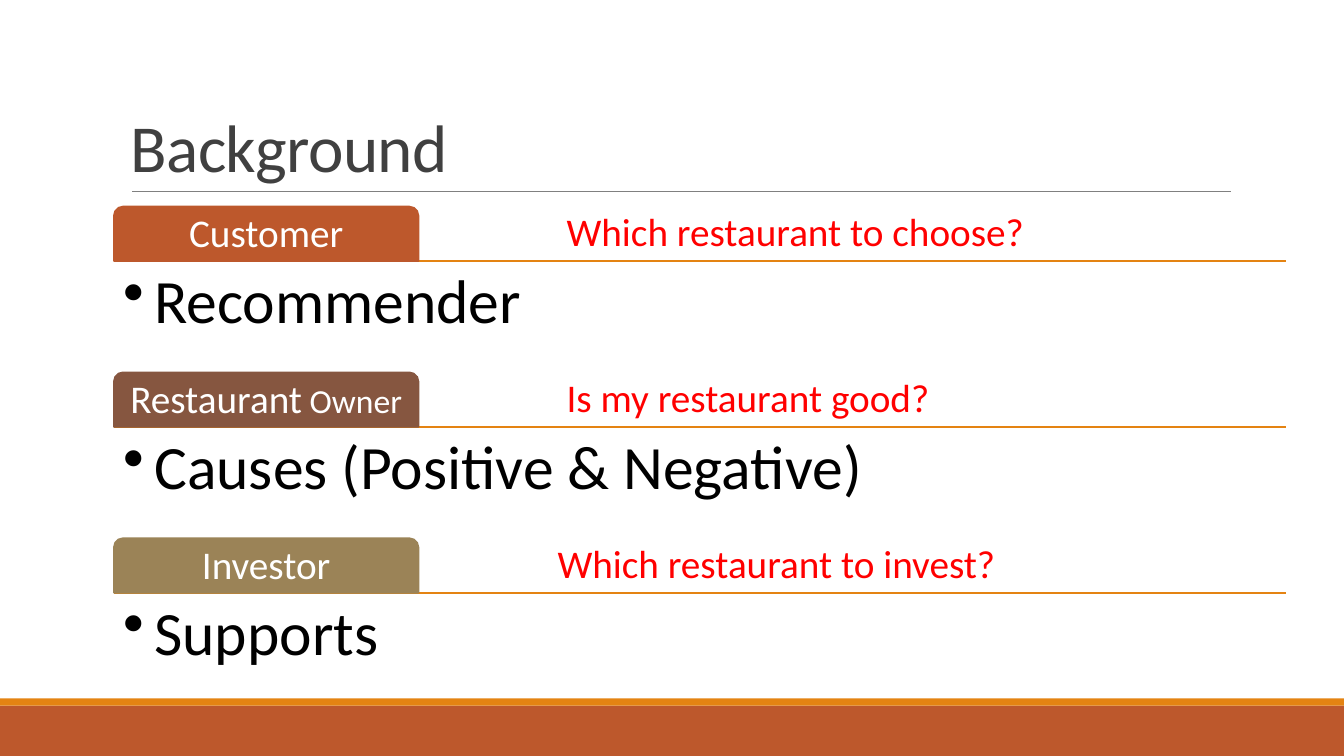
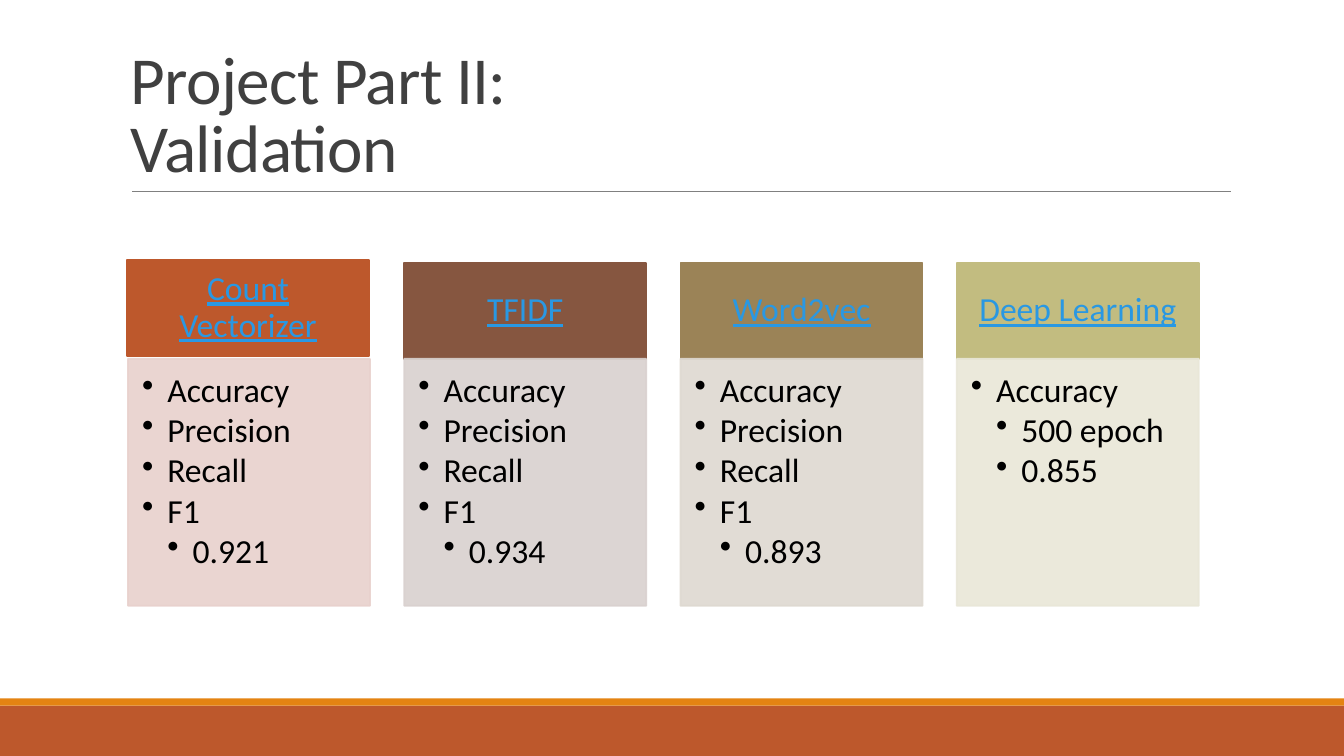
from lxml.etree import SubElement
from pptx import Presentation
from pptx.dml.color import RGBColor
from pptx.enum.shapes import MSO_CONNECTOR, MSO_SHAPE
from pptx.enum.text import MSO_ANCHOR, PP_ALIGN
from pptx.oxml.ns import qn
from pptx.util import Inches, Pt

FONT = "Calibri"
SLIDE_WIDTH, SLIDE_HEIGHT = 13.33, 7.5
COLORS = {
    "rust": "BD582C",
    "orange": "E48312",
    "brown": "865640",
    "tan": "9B8357",
    "olive": "C2BC80",
    "rust_tint": "E8D1CD",
    "brown_tint": "D9D1CF",
    "tan_tint": "DED9D1",
    "olive_tint": "E9E7D8",
    "rule": "808080",
    "title": "404040",
    "question": "FF0000",
    "link": "2998E3",
    "black": "000000",
    "white": "FFFFFF",
}

AUDIENCES = [
    # tab runs as (text, size), tab colour, question, question indent, answer
    ([("Customer", 28)], "rust", "Which restaurant to choose?", 1.47, "Recommender"),
    ([("Restaurant", 28), (" Owner", 24)], "brown", "Is my restaurant good?", 1.47,
     "Causes (Positive & Negative)"),
    ([("Investor", 28)], "tan", "Which restaurant to invest?", 1.38, "Supports"),
]

METRICS = [(1, "Accuracy"), (1, "Precision"), (1, "Recall"), (1, "F1")]
MODELS = [
    # heading, colour, heading offset, (level, text) lines
    ("Count Vectorizer", "rust", (-0.01, -0.03), METRICS + [(2, "0.921")]),
    ("TFIDF", "brown", (0, 0), METRICS + [(2, "0.934")]),
    ("Word2vec", "tan", (0, 0), METRICS + [(2, "0.893")]),
    ("Deep Learning", "olive", (0, 0),
     [(1, "Accuracy"), (2, "500 epoch"), (2, "0.855")]),
]


def rgb(name):
    return RGBColor.from_string(COLORS[name])


def add_box(slide, left, top, width, height, fill, *, kind=MSO_SHAPE.RECTANGLE,
            outlined=True, opacity=None):
    shape = slide.shapes.add_shape(
        kind, Inches(left), Inches(top), Inches(width), Inches(height))
    shape.shadow.inherit = False
    shape.fill.solid()
    shape.fill.fore_color.rgb = rgb(fill)
    if outlined:
        shape.line.color.rgb = rgb(fill)
        shape.line.width = Pt(1.25)
    else:
        shape.line.fill.background()
    if opacity is not None:
        for color in shape.element.spPr.iter(qn("a:srgbClr")):
            SubElement(color, qn("a:alpha"), val=str(opacity * 1000))
    return shape


def add_rule(slide, left, top, width, color, weight):
    rule = slide.shapes.add_connector(
        MSO_CONNECTOR.STRAIGHT, Inches(left), Inches(top),
        Inches(left + width), Inches(top))
    rule.line.color.rgb = rgb(color)
    rule.line.width = Pt(weight)
    SubElement(rule.element.spPr, qn("a:effectLst"))


def add_text_box(slide, left, top, width, height):
    return slide.shapes.add_textbox(
        Inches(left), Inches(top), Inches(width), Inches(height))


def write_text(shape, lines, *, size, color, insets, align=PP_ALIGN.LEFT,
               anchor=MSO_ANCHOR.TOP, line_spacing=0.9, space_after=0,
               indent=0, underline=None, tracking=None):
    """Fill a shape with (level, text) lines; text may be a list of (text, size) runs.

    Levels above 0 are bulleted, each one indented by `indent` inches.
    """
    frame = shape.text_frame
    frame.word_wrap = True
    frame.vertical_anchor = anchor
    (frame.margin_left, frame.margin_top,
     frame.margin_right, frame.margin_bottom) = map(Inches, insets)
    for index, (level, text) in enumerate(lines):
        paragraph = frame.add_paragraph() if index else frame.paragraphs[0]
        paragraph.alignment = align
        paragraph.line_spacing = line_spacing
        paragraph.space_after = Pt(space_after)
        paragraph.level = level
        if level:
            properties = paragraph._p.get_or_add_pPr()
            properties.set("marL", str(Inches(indent * level)))
            properties.set("indent", str(-Inches(indent)))
            SubElement(properties, qn("a:buChar"), char="•")
        for run_text, run_size in ([(text, size)] if isinstance(text, str) else text):
            for part_index, part in enumerate(run_text.split("\n")):
                if part_index:
                    paragraph.add_line_break()
                run = paragraph.add_run()
                run.text = part
                run.font.name = FONT
                run.font.size = Pt(run_size)
                run.font.color.rgb = rgb(color)
                run.font.underline = underline
                if tracking is not None:
                    run.font._element.set("spc", str(int(tracking * 100)))


def add_titled_slide(presentation, title):
    slide = presentation.slides.add_slide(presentation.slide_layouts[6])
    add_box(slide, 0, 7, SLIDE_WIDTH, 0.5, "rust", outlined=False)
    add_box(slide, 0, 6.93, SLIDE_WIDTH, 0.07, "orange", outlined=False)
    add_rule(slide, 1.31, 1.9, 10.9, "rule", 0.5)
    write_text(add_text_box(slide, 1.2, 0.31, 11, 1.59), [(0, title)],
               size=48, color="title", insets=(0.1, 0.05, 0.1, 0.05),
               anchor=MSO_ANCHOR.BOTTOM, line_spacing=0.85, tracking=-0.5)
    return slide


def add_audience_row(slide, left, top, width, audience):
    tab_runs, color, question, question_indent, answer = audience
    tab_width, tab_height, answer_height = 3.02, 0.54, 1.08
    bottom = top + tab_height
    add_rule(slide, left, bottom, width, "orange", 1.25)

    question_box = add_text_box(
        slide, left + tab_width, top, width - tab_width, tab_height)
    write_text(question_box, [(0, question)], size=28, color="question",
               insets=(question_indent, 0.06, 0.06, 0.06),
               anchor=MSO_ANCHOR.BOTTOM)

    tab = add_box(slide, left, top, tab_width, tab_height, color,
                  kind=MSO_SHAPE.ROUND_2_SAME_RECTANGLE)
    write_text(tab, [(0, tab_runs)], size=28, color="white", insets=[0.06] * 4,
               align=PP_ALIGN.CENTER, anchor=MSO_ANCHOR.MIDDLE)

    answer_box = add_text_box(slide, left, bottom, width, answer_height)
    write_text(answer_box, [(1, answer)], size=44, color="black",
               insets=[0.09] * 4, indent=0.31)


def add_model_card(slide, left, top, width, model):
    heading, color, (shift_x, shift_y), lines = model
    heading_height, body_height = 0.95, 2.45
    header = add_box(slide, left + shift_x, top + shift_y, width,
                     heading_height, color)
    write_text(header, [(0, heading)], size=24, color="link",
               insets=(0.19, 0.11, 0.19, 0.11), align=PP_ALIGN.CENTER,
               anchor=MSO_ANCHOR.MIDDLE, underline=True)
    body = add_box(slide, left, top + heading_height, width, body_height,
                   f"{color}_tint", opacity=90)
    write_text(body, lines, size=24, color="black",
               insets=(0.14, 0.14, 0.19, 0.21), space_after=3, indent=0.25)


def add_background_slide(presentation):
    slide = add_titled_slide(presentation, "Background")
    for index, audience in enumerate(AUDIENCES):
        add_audience_row(slide, 1.13, 2.05 + 1.645 * index, 11.62, audience)


def add_validation_slide(presentation):
    slide = add_titled_slide(presentation, "Project Part II:\nValidation")
    for index, model in enumerate(MODELS):
        add_model_card(slide, 1.27 + 2.74 * index, 2.61, 2.4, model)


def main():
    presentation = Presentation()
    presentation.slide_width = Inches(SLIDE_WIDTH)
    presentation.slide_height = Inches(SLIDE_HEIGHT)
    add_background_slide(presentation)
    add_validation_slide(presentation)
    presentation.save("out.pptx")


if __name__ == "__main__":
    main()
